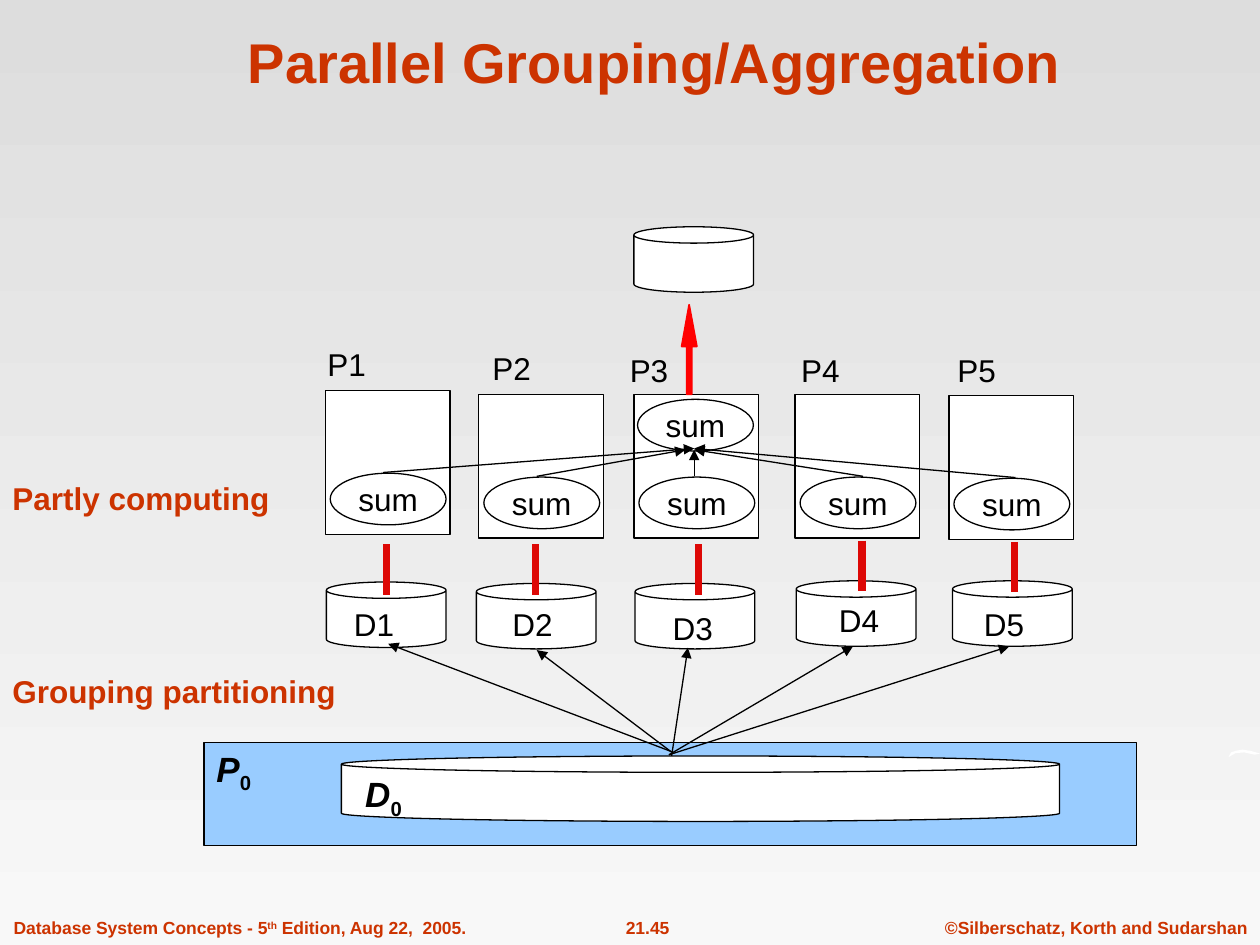
"""Build the slide on parallel grouping and aggregation."""
from lxml import etree
from pptx import Presentation
from pptx.dml.color import RGBColor
from pptx.enum.shapes import MSO_CONNECTOR, MSO_SHAPE
from pptx.enum.text import MSO_ANCHOR, MSO_AUTO_SIZE, PP_ALIGN
from pptx.oxml.ns import qn
from pptx.util import Pt

STRAIGHT = MSO_CONNECTOR.STRAIGHT
CAN, RECTANGLE, OVAL = MSO_SHAPE.CAN, MSO_SHAPE.RECTANGLE, MSO_SHAPE.OVAL
LEFT, CENTER = PP_ALIGN.LEFT, PP_ALIGN.CENTER
TOP, MIDDLE, BOTTOM = MSO_ANCHOR.TOP, MSO_ANCHOR.MIDDLE, MSO_ANCHOR.BOTTOM
NO_AUTOSIZE = MSO_AUTO_SIZE.NONE

COLORS = {
    "black": "000000", "white": "FFFFFF", "accent": "CC3300", "blue": "99CCFF",
    "bar": "DD0806", "arrow": "FF0000", "sky": "DDDDDD", "ground": "F8F8F8",
}
FORMATS = {
    "title": {"size": Pt(32), "bold": True, "color": "accent"},
    "step": {"size": Pt(18), "bold": True, "color": "accent"},
    "label": {"size": Pt(18), "color": "black"},
    "symbol": {"size": Pt(20), "bold": True, "italic": True, "color": "black"},
    "index": {"size": Pt(20), "bold": True, "color": "black", "baseline": -25000},
    "footer": {"size": Pt(10), "bold": True, "color": "accent"},
    "ordinal": {"size": Pt(10), "bold": True, "color": "accent", "baseline": 30000},
}
CAN_SIZE, NODE_SIZE, SUM_SIZE = (68.4, 37.4), (71.3, 82.1), (66.2, 29.5)
BAR_LENGTH = 28.8
COLUMNS = [
    {"node": (185.8, 223.2), "can": (186.5, 332.6), "bar": (221, 311),
     "node_label": (180, 193.7), "can_label": (195.1, 342),
     "gather": ((218.9, 270), (396.7, 256.3)), "scatter": ((384.5, 429.8), (221.8, 367.9))},
    {"node": (273.6, 225.4), "can": (272.2, 333.4), "bar": (306, 311),
     "node_label": (274.3, 195.8), "can_label": (285.8, 342),
     "gather": ((306.7, 272.2), (391.7, 257)), "scatter": ((383.8, 429.8), (306.7, 371.5))},
    {"node": (362.2, 225.4), "can": (362.9, 333.4), "bar": (399.2, 311),
     "node_label": (352.8, 197.3), "can_label": (377.3, 344.2),
     "gather": ((396.7, 272.2), (396.7, 257)), "scatter": ((383.8, 432), (393.1, 370.1))},
    {"node": (454.3, 225.4), "can": (455, 331.9), "bar": (492.5, 308.9),
     "node_label": (450.7, 197.3), "can_label": (472.3, 339.8),
     "gather": ((493.2, 272.2), (396.7, 257)), "scatter": ((382.3, 431.3), (487.4, 369.4))},
    {"node": (542.2, 226.1), "can": (544.3, 331.9), "bar": (579.6, 309.6),
     "node_label": (540, 197.3), "can_label": (555.1, 342),
     "gather": ((580.3, 272.9), (396.7, 256.3)), "scatter": ((382.3, 431.3), (576.7, 369.4))},
]
RESULT_ARROW = [(392.4, 225.4), (392.4, 198), (389.5, 198), (393.8, 174.2),
                (398.2, 198), (395.3, 198), (395.3, 225.4)]
EDGE_SWOOSH = [(702, 432.7), (703.4, 430), (706.3, 429), (709.9, 428.4), (714.2, 429),
               (720, 430.6), (717, 431.3), (711, 430), (706, 430.4)]


class Sketch:
    """Hold the style and the current page, and add elements to it."""

    def __init__(self, page, font="Arial"):
        self.page = page
        self.font = font

    def color(self, name):
        return RGBColor.from_string(COLORS[name])

    def background(self, start, end):
        fill = self.page.background.fill
        fill.gradient()
        fill.gradient_angle = 270
        for stop, name, position in zip(fill.gradient_stops, (start, end), (0, 1)):
            stop.color.rgb = self.color(name)
            stop.position = position

    def set_text(self, box, spans, align=LEFT, anchor=TOP, wrap=False):
        frame = box.text_frame
        settings = {"word_wrap": wrap, "auto_size": NO_AUTOSIZE, "vertical_anchor": anchor,
                    "margin_left": Pt(7.2), "margin_right": Pt(7.2),
                    "margin_top": Pt(3.6), "margin_bottom": Pt(3.6)}
        for key, value in settings.items():
            setattr(frame, key, value)
        para = frame.paragraphs[0]
        para.alignment = align
        para.space_before = Pt(0)
        for text, style in spans:
            span = para.add_run()
            span.text = text
            span.font.name = self.font
            for key, value in FORMATS[style].items():
                if key == "color":
                    span.font.color.rgb = self.color(value)
                elif key == "baseline":
                    span.font._element.set(key, str(value))
                else:
                    setattr(span.font, key, value)

    def title(self, place, size, text):
        box = self.page.shapes.title
        box.left, box.top, box.width, box.height = map(Pt, (*place, *size))
        self.set_text(box, [(text, "title")], CENTER, BOTTOM, True)

    def text(self, place, size, spans, align=LEFT):
        self.set_text(self.page.shapes.add_textbox(*map(Pt, (*place, *size))), spans, align)

    def paint(self, shape, fill, line=None, width=0.75):
        shape.shadow.inherit = False
        shape.fill.solid()
        shape.fill.fore_color.rgb = self.color(fill)
        if line:
            shape.line.color.rgb = self.color(line)
            shape.line.width = Pt(width)
        else:
            shape.line.fill.background()

    def shape(self, kind, place, size, fill="white", text=None):
        shape = self.page.shapes.add_shape(kind, *map(Pt, (*place, *size)))
        self.paint(shape, fill, "black")
        if text:
            self.set_text(shape, [(text, "label")], CENTER, MIDDLE)

    def outline(self, points, fill, line=None):
        start, *others = [(Pt(x), Pt(y)) for x, y in points]
        builder = self.page.shapes.build_freeform(*start)
        builder.add_line_segments(others, close=True)
        self.paint(builder.convert_to_shape(), fill, line, 1)

    def line(self, start, end, color="black", width=0.75, arrow=True):
        line = self.page.shapes.add_connector(STRAIGHT, *map(Pt, (*start, *end)))
        line.line.color.rgb = self.color(color)
        line.line.width = Pt(width)
        if arrow:
            etree.SubElement(line.line._get_or_add_ln(), qn("a:tailEnd"), type="triangle")
        etree.SubElement(line._element.spPr, qn("a:effectLst"))


def main():
    deck = Presentation()
    deck.slide_width, deck.slide_height = Pt(720), Pt(540)
    sketch = Sketch(deck.slides.add_slide(deck.slide_layouts[5]))
    sketch.background("sky", "ground")
    sketch.outline(EDGE_SWOOSH, "white")
    sketch.title((60.5, 9.4), (635.8, 48.2), "Parallel Grouping/Aggregation ")

    for number, column in enumerate(COLUMNS, 1):
        x, y = column["bar"]
        left, top = column["node"]
        sketch.shape(CAN, column["can"], CAN_SIZE)
        sketch.line((x, y), (x, y + BAR_LENGTH), "bar", 4.25, False)
        sketch.shape(RECTANGLE, (left, top), NODE_SIZE)
        sketch.shape(OVAL, (left + 2.9, top + 47.2), SUM_SIZE, text="sum")
        sketch.text(column["node_label"], (45.4, 28.8), [(f"P{number}", "label")])
        sketch.text(column["can_label"], (41, 28.8), [(f"D{number}", "label")])

    sketch.shape(OVAL, (364.3, 228.2), SUM_SIZE, text="sum")
    for column in COLUMNS:
        sketch.line(*column["gather"])
    sketch.outline(RESULT_ARROW, "arrow", "arrow")
    sketch.shape(CAN, (362.2, 129.6), CAN_SIZE)

    sketch.shape(RECTANGLE, (116.6, 424.1), (532.8, 59), "blue")
    sketch.shape(CAN, (195.1, 432), (410.4, 37.4))
    sketch.text((201.6, 437.8), (35.3, 34.6), [("D", "symbol"), ("0", "index")])
    sketch.text((116.6, 423.4), (33.8, 34.6), [("P", "symbol"), ("0", "index")])
    for column in COLUMNS:
        sketch.line(*column["scatter"])

    sketch.text((0, 270), (161.3, 28.8), [("Partly computing", "step")])
    sketch.text((0, 380.2), (199.4, 28.8), [("Grouping partitioning", "step")])
    sketch.text((0.7, 520.6), (272.9, 19.4), [
        ("Database System Concepts - 5", "footer"), ("th", "ordinal"),
        (" Edition, Aug 22,  2005.", "footer")])
    sketch.text((331.9, 520.6), (76.3, 19.4), [("21.45", "footer")], CENTER)
    sketch.text((532.8, 520.6), (187.2, 19.4),
                [("©Silberschatz, Korth and Sudarshan", "footer")], CENTER)
    deck.save("out.pptx")


if __name__ == "__main__":
    main()
